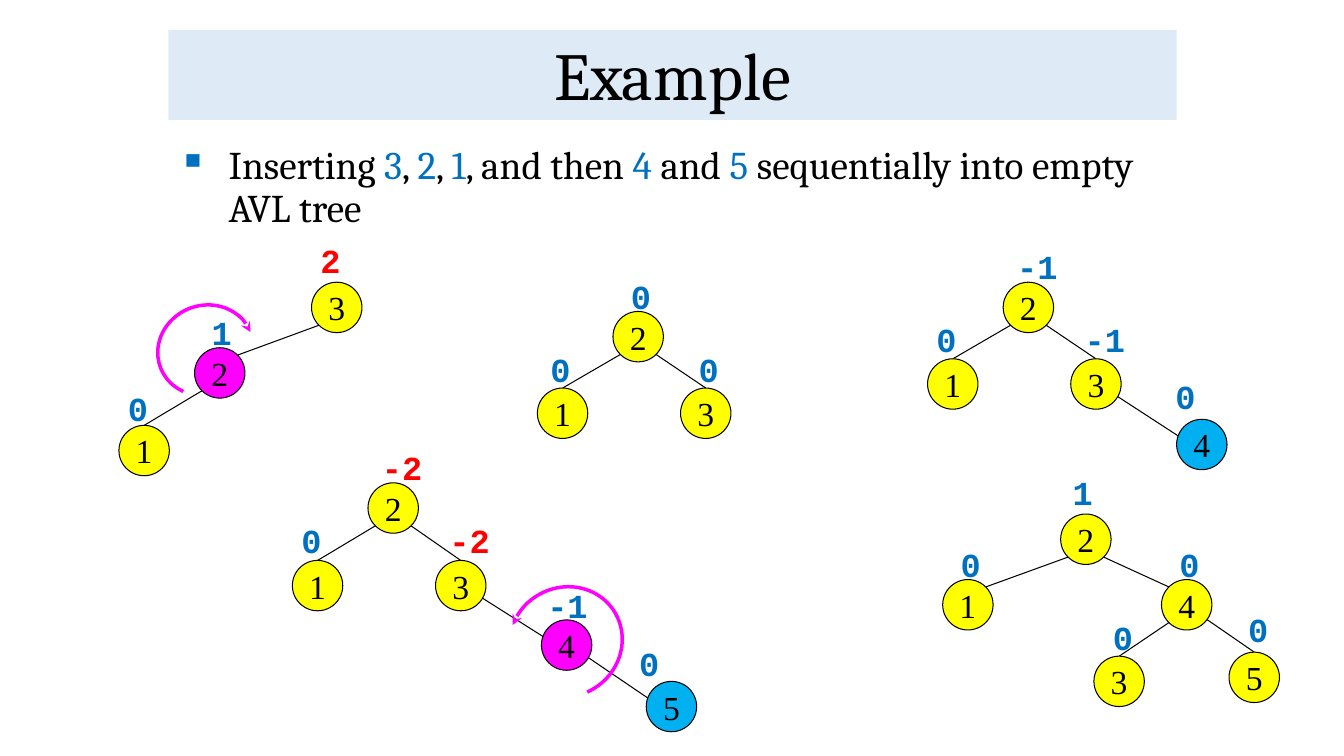
from math import cos, radians, sin

from lxml import etree
from pptx import Presentation
from pptx.dml.color import RGBColor
from pptx.enum.shapes import MSO_CONNECTOR, MSO_SHAPE
from pptx.enum.text import MSO_ANCHOR, PP_ALIGN
from pptx.oxml.ns import qn
from pptx.util import Inches, Pt

LINE = MSO_CONNECTOR.STRAIGHT
RECT, OVAL, ARC = MSO_SHAPE.RECTANGLE, MSO_SHAPE.OVAL, MSO_SHAPE.ARC
LEFT, CENTER = PP_ALIGN.LEFT, PP_ALIGN.CENTER
TOP, MIDDLE, BOTTOM = MSO_ANCHOR.TOP, MSO_ANCHOR.MIDDLE, MSO_ANCHOR.BOTTOM

BLACK, BLUE, RED, PALE = "000000", "0070C0", "FF0000", "DEEBF7"
YELLOW, PINK, SKY = "FFFF00", "FF00FF", "00B0F0"
SIZE = 0.5

# Clockwise angles at which an edge leaves the parent and meets the child
EDGES = {
    "left": (135, 270),
    "right": (45, 270),
    "wide left": (135, 315),
    "wide right": (45, 225),
    "far right": (30, 200),
    "low right": (36, 270),
}

# Each node: key, x, y, fill, balance, label x, label y, parent, edge
TREES = [
    (3.09, 2.8, [
        ("3", 0, 0, YELLOW, 2, -0.01, -0.47, None, None),
        ("2", -1.16, 0.65, PINK, 1, 0.07, -0.4, "3", "wide left"),
        ("1", -1.91, 1.42, YELLOW, 0, -0.01, -0.42, "2", "left"),
    ]),
    (6.08, 3.09, [
        ("2", 0, 0, YELLOW, 0, 0.08, -0.4, None, None),
        ("1", -0.75, 0.76, YELLOW, 0, 0.03, -0.44, "2", "left"),
        ("3", 0.67, 0.76, YELLOW, 0, 0.08, -0.44, "2", "right"),
    ]),
    (9.95, 2.8, [
        ("2", 0, 0, YELLOW, -1, 0.04, -0.41, None, None),
        ("1", -0.75, 0.76, YELLOW, 0, -0.01, -0.45, "2", "left"),
        ("3", 0.67, 0.76, YELLOW, -1, 0.04, -0.45, "2", "right"),
        ("4", 1.72, 1.36, SKY, 0, -0.11, -0.48, "3", "far right"),
    ]),
    (3.65, 4.79, [
        ("2", 0, 0, YELLOW, -2, 0.04, -0.41, None, None),
        ("1", -0.75, 0.77, YELLOW, 0, -0.01, -0.45, "2", "left"),
        ("3", 0.67, 0.77, YELLOW, -2, 0.04, -0.45, "2", "right"),
        ("4", 1.72, 1.36, PINK, -1, -0.04, -0.4, "3", "far right"),
        ("5", 2.76, 1.97, SKY, 0, -0.17, -0.43, "4", "far right"),
    ]),
    (10.52, 5.1, [
        ("2", 0, 0, YELLOW, 1, 0.02, -0.47, None, None),
        ("1", -1.17, 0.65, YELLOW, 0, 0.08, -0.4, "2", "wide left"),
        ("4", 1, 0.65, YELLOW, 0, 0.08, -0.4, "2", "wide right"),
        ("3", 0.33, 1.41, YELLOW, 0, 0.09, -0.44, "4", "left"),
        ("5", 1.67, 1.37, YELLOW, 0, 0.09, -0.48, "4", "low right"),
    ]),
]


def rgb(code):
    """Turn a hex string into a colour."""
    return RGBColor.from_string(code)


def place(*lengths):
    """Turn numbers into lengths in inches."""
    return [Inches(length) for length in lengths]


def write(shape, parts, font="Cambria", size=24, bold=False, align=LEFT,
          anchor=TOP, wrap=False, space=1):
    """Write (text, colour) parts as one paragraph and return it."""
    frame = shape.text_frame
    frame.word_wrap = wrap
    frame.vertical_anchor = anchor
    para = frame.paragraphs[0]
    para.alignment, para.line_spacing, para.space_before = align, space, Pt(0)
    for text, color in parts:
        run = para.add_run()
        run.text = text
        run.font.name, run.font.size, run.font.bold = font, Pt(size), bold
        run.font.color.rgb = rgb(color)
    return para


def head(slide, x, y, w, h):
    """Set the title in its pale band."""
    title = slide.shapes.title
    title.left, title.top, title.width, title.height = place(x, y, w, h)
    title.fill.solid()
    title.fill.fore_color.rgb = rgb(PALE)
    write(title, [("Example", BLACK)], size=48, align=CENTER, anchor=BOTTOM,
          wrap=True, space=0.9)


def task(slide, x, y, w, h):
    """Add the bulleted task with its keys in blue."""
    box = slide.shapes.add_textbox(*place(x, y, w, h))
    words = ["Inserting ", "3", ", ", "2", ", ", "1", ", and then ", "4",
             " and ", "5", " sequentially into empty AVL tree"]
    parts = [(word, BLUE if word.isdigit() else BLACK) for word in words]
    para = write(box, parts, size=28, wrap=True, space=0.9)
    props = para._p.get_or_add_pPr()
    props.set("marL", str(Inches(0.5)))
    props.set("indent", str(Inches(-0.5)))
    tint = etree.SubElement(props, qn("a:buClr"))
    etree.SubElement(tint, qn("a:srgbClr"), val=BLUE)
    etree.SubElement(props, qn("a:buChar"), char="▪")


def rim(x, y, angle):
    """Find the point at an angle on the rim of the node at x, y."""
    half, turn = SIZE / 2, radians(angle)
    return place(x + half + half * cos(turn), y + half + half * sin(turn))


def link(slide, start, end):
    """Draw an edge between two points."""
    line = slide.shapes.add_connector(LINE, *start, *end)
    line.line.color.rgb = rgb(BLACK)
    line.line.width = Pt(0.75)
    etree.SubElement(line._element.spPr, qn("a:effectLst"))


def node(slide, x, y, key, fill):
    """Draw a round node with its key."""
    disc = slide.shapes.add_shape(OVAL, *place(x, y, SIZE, SIZE))
    disc.shadow.inherit = False
    disc.fill.solid()
    disc.fill.fore_color.rgb = rgb(fill)
    disc.line.color.rgb = rgb(BLACK)
    disc.line.width = Pt(0.75)
    write(disc, [(key, BLACK)], font="Times New Roman", align=CENTER,
          anchor=MIDDLE)


def label(slide, x, y, value):
    """Write a balance factor, in red where the node is unbalanced."""
    text = str(value)
    box = slide.shapes.add_textbox(*place(x, y, 0.2 + 0.2 * len(text), 0.5))
    color = RED if abs(value) > 1 else BLUE
    write(box, [(text, color)], font="Courier New", bold=True)


def tree(slide, x, y, nodes):
    """Draw a tree whose root has its corner at x, y."""
    spots = {}
    for key, dx, dy, fill, value, lx, ly, parent, edge in nodes:
        spot = spots[key] = x + dx, y + dy
        if parent:
            out, into = EDGES[edge]
            link(slide, rim(*spots[parent], out), rim(*spot, into))
        node(slide, *spot, key, fill)
        label(slide, spot[0] + lx, spot[1] + ly, value)


def spin(slide, x, y, w, h, turn, ends, tip):
    """Draw a rotation arrow with its tip at one end."""
    arc = slide.shapes.add_shape(ARC, *place(x, y, w, h))
    arc.shadow.inherit = False
    arc.rotation = turn
    arc.adjustments[0], arc.adjustments[1] = ends
    arc.fill.background()
    arc.line.color.rgb = rgb(PINK)
    arc.line.width = Pt(2.5)
    etree.SubElement(arc.line._get_or_add_ln(), qn(tip), type="stealth")


def main():
    """Build and save the slide."""
    deck = Presentation()
    deck.slide_width, deck.slide_height = place(13.33, 7.5)
    slide = deck.slides.add_slide(deck.slide_layouts[5])
    head(slide, 1.67, 0.3, 10, 0.89)
    task(slide, 1.67, 1.4, 10, 0.95)
    for x, y, nodes in TREES:
        tree(slide, x, y, nodes)
    spin(slide, 1.56, 3.03, 0.96, 0.89, 337.9, (84.36, 0), "a:tailEnd")
    spin(slide, 5.07, 5.8, 1.08, 1.14, 57.3, (84.36, 5.62), "a:headEnd")
    deck.save("out.pptx")


if __name__ == "__main__":
    main()
